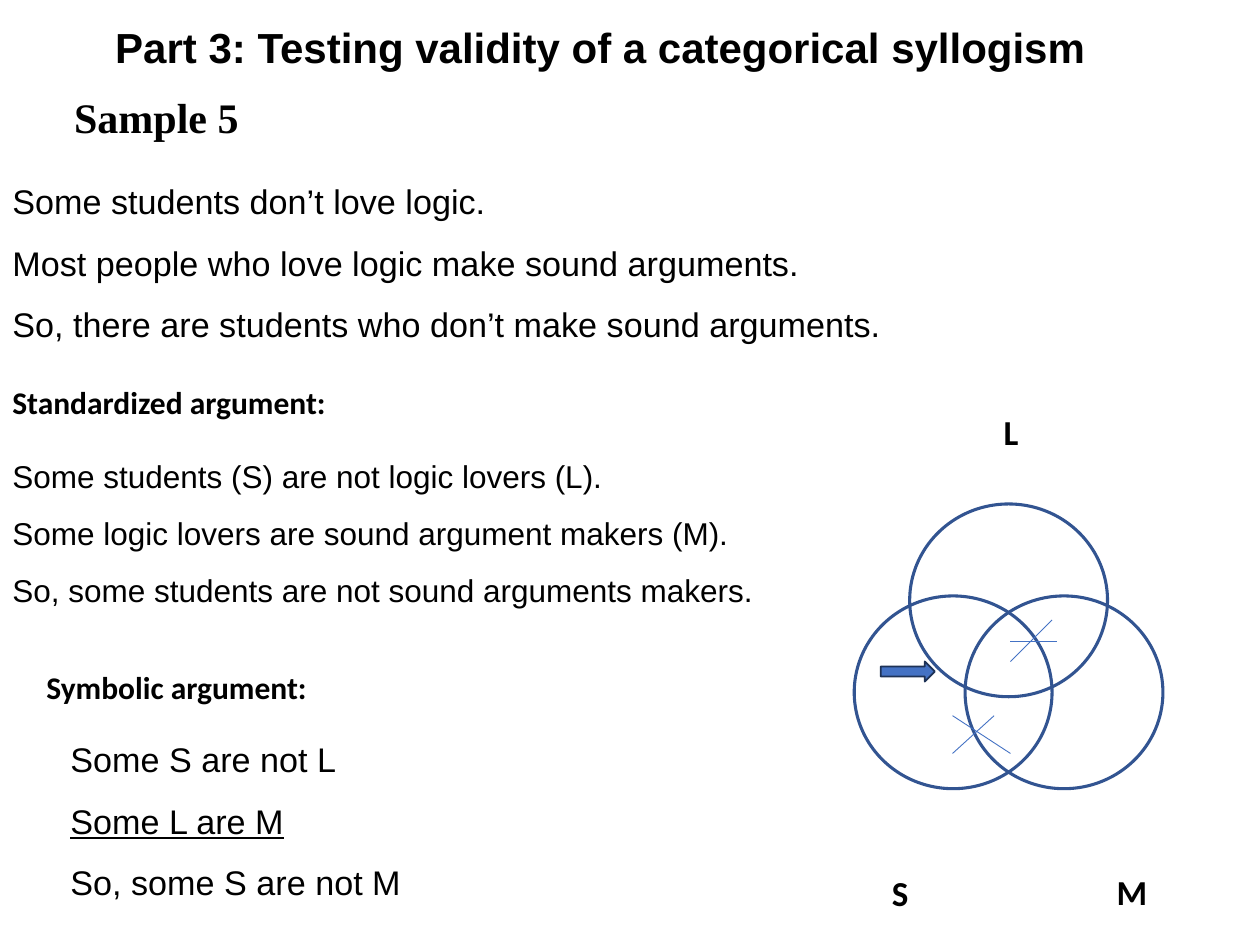
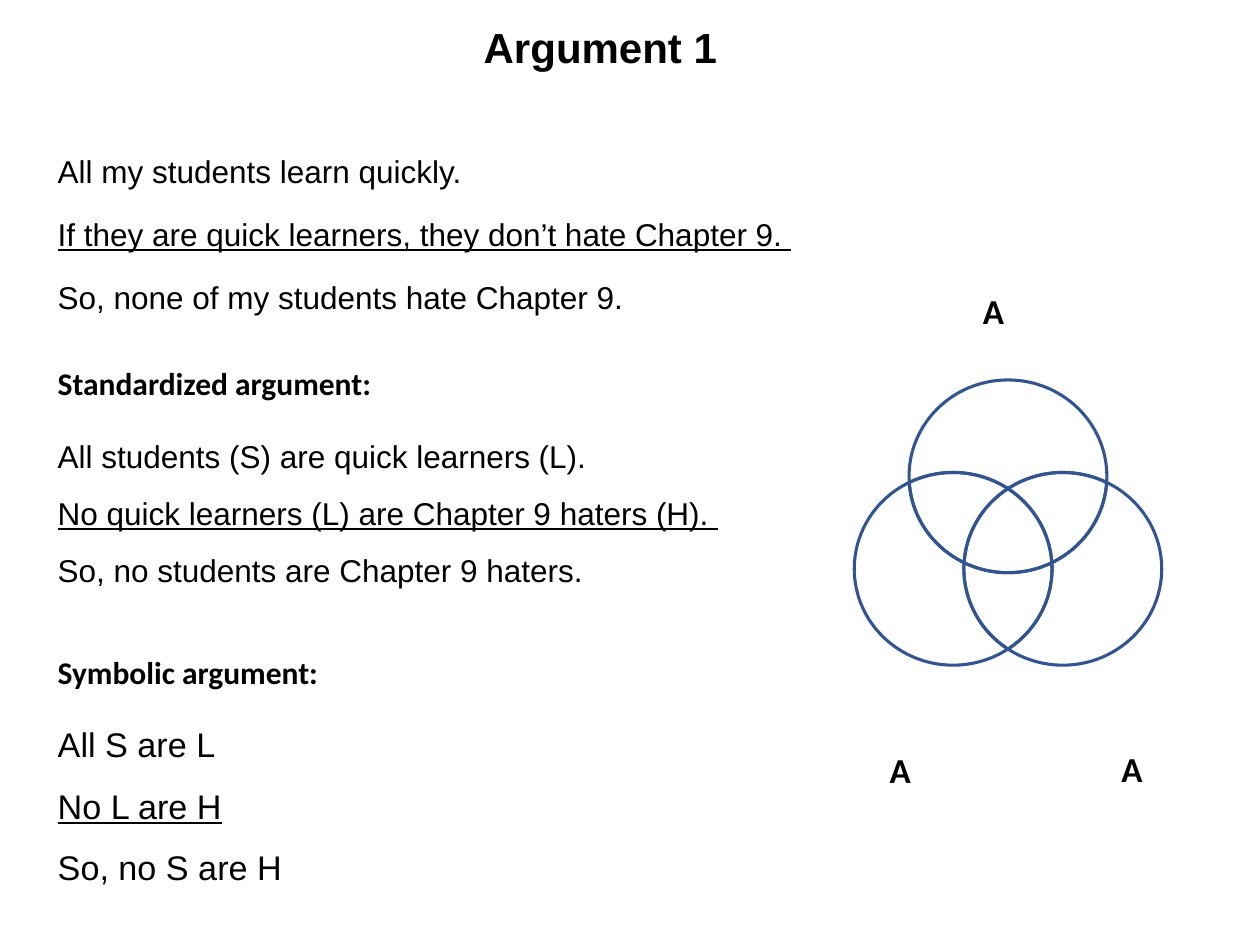
"""Builds two slides that test syllogisms with three-circle diagrams."""
from math import acos, cos, degrees, radians, sin, sqrt, tan

from lxml import etree
from pptx import Presentation
from pptx.dml.color import RGBColor
from pptx.enum.shapes import MSO_AUTO_SHAPE_TYPE, MSO_CONNECTOR_TYPE
from pptx.enum.text import MSO_AUTO_SIZE, PP_ALIGN
from pptx.oxml.ns import qn
from pptx.util import Inches, Pt

BLACK = RGBColor(0x00, 0x00, 0x00)
BLUE = RGBColor(0x44, 0x72, 0xC4)
NAVY = RGBColor(0x32, 0x54, 0x91)
DARK = RGBColor(0x1E, 0x32, 0x56)
OVAL = MSO_AUTO_SHAPE_TYPE.OVAL
ARROW = MSO_AUTO_SHAPE_TYPE.RIGHT_ARROW
LINE = MSO_CONNECTOR_TYPE.STRAIGHT
GROW = MSO_AUTO_SIZE.SHAPE_TO_FIT_TEXT
FIXED = MSO_AUTO_SIZE.NONE
LEFT, MID = PP_ALIGN.LEFT, PP_ALIGN.CENTER

STYLES = {
    "title": dict(name="Arial", size=24, bold=True, align=MID, gap=0.9, fit=FIXED),
    "sample": dict(name="Times New Roman", size=24, bold=True),
    "head": dict(name="Calibri", size=18, bold=True),
    "label": dict(name="Calibri", size=20, bold=True, align=MID),
    "large": dict(name="Arial", size=19.5, gap=1.5),
    "body": dict(name="Arial", size=18, gap=1.5),
    "loose": dict(name="Arial", size=18, gap=1.2, before=10, fit=FIXED),
}
TITLE = (0.05, 0.17, 9.43, 0.56)
HEAD = (3.14, 0.4)
LABEL = (0.73, 0.44)

SLIDES = [
    [
        ("large", (0, 1.22, 7.5, 1.52), [
            "Some students don’t love logic.",
            "Most people who love logic make sound arguments.",
            "So, there are students who don’t make sound arguments."]),
        ("large", (0.46, 5.65, 2.99, 1.52), [
            "Some S are not L", "_Some L are M", "So, some S are not M"]),
        ("body", (0, 3.43, 6.63, 1.41), [
            "Some students (S) are not logic lovers (L).",
            "Some logic lovers are sound argument makers (M).",
            "So, some students are not sound arguments makers."]),
        ("sample", (0.49, 0.68, 1.69, 0.5), ["Sample 5"]),
        ("title", TITLE, ["Part 3: Testing validity of a categorical syllogism"]),
        ("head", (0, 2.99, *HEAD), ["Standardized argument:"]),
        ("head", (0.27, 5.25, *HEAD), ["Symbolic argument:"]),
        ("label", (7.66, 3.21, *LABEL), ["L"]),
        ("label", (8.62, 6.86, *LABEL), ["M"]),
        ("label", (6.78, 6.87, *LABEL), ["S"]),
    ],
    [
        ("large", (0.36, 5.53, 2.99, 1.52), [
            "All S are L", "_No L are H", "So, no S are H"]),
        ("body", (0.36, 3.27, 6.63, 1.41), [
            "All students (S) are quick learners (L).",
            "_No quick learners (L) are Chapter 9 haters (H). ",
            "So, no students are Chapter 9 haters."]),
        ("title", TITLE, ["Argument 1"]),
        ("loose", (0.36, 1.1, 8.26, 1.37), [
            "All my students learn quickly.",
            "_If they are quick learners, they don’t hate Chapter 9. ",
            "So, none of my students hate Chapter 9."]),
        ("head", (0.36, 2.84, *HEAD), ["Standardized argument:"]),
        ("head", (0.36, 5.13, *HEAD), ["Symbolic argument:"]),
        ("label", (8.62, 5.88, *LABEL), ["A"]),
        ("label", (6.78, 5.89, *LABEL), ["A"]),
        ("label", (7.52, 2.25, *LABEL), ["A"]),
    ],
]


def paint(shape, line, width, fill=None):
    shape.shadow.inherit = False
    if fill is None:
        shape.fill.background()
    else:
        shape.fill.solid()
        shape.fill.fore_color.rgb = fill
    shape.line.color.rgb = line
    shape.line.width = Pt(width)


def arc(turn, start, end):
    """Give curve points, three per piece, on the circle centred at angle turn."""
    hub, start, end = radians(turn), turn + start, turn + end
    cuts = [q for q in range(-360, 721, 90) if min(start, end) < q < max(start, end)]
    stops = [start, *sorted(cuts, reverse=start > end), end]
    spots = []
    for a, b in zip(stops, stops[1:]):
        a, b = radians(a), radians(b)
        pull = 4 / 3 * tan((b - a) / 4)
        for t, k in [(a, pull), (b, -pull), (b, 0)]:
            x = MIDX + RX * (RING * cos(hub) + cos(t) - k * sin(t))
            y = MIDY + RY * (RING * sin(hub) + sin(t) + k * cos(t))
            spots.append((Inches(x), Inches(y)))
    return spots


deck = Presentation()
deck.slide_width, deck.slide_height = Inches(10), Inches(7.5)
pages = []

for boxes in SLIDES:
    page = deck.slides.add_slide(deck.slide_layouts[6])
    pages.append(page)
    for kind, place, lines in boxes:
        style = STYLES[kind]
        frame = page.shapes.add_textbox(*map(Inches, place)).text_frame
        frame.word_wrap = True
        frame.auto_size = style.get("fit", GROW)
        for i, text in enumerate(lines):
            para = frame.paragraphs[0] if i == 0 else frame.add_paragraph()
            para.alignment = style.get("align", LEFT)
            para.line_spacing = style.get("gap", 1.0)
            if i:
                para.space_before = Pt(style.get("before", 0))
            run = para.add_run()
            run.text = text.removeprefix("_")
            look = dict(name=style["name"], size=Pt(style["size"]),
                        bold=style.get("bold", False),
                        underline=text.startswith("_"))
            for key, value in look.items():
                setattr(run.font, key, value)
            run.font.color.rgb = BLACK

first, second = pages

for x, y in [(6.78, 4.73), (7.66, 4.73), (7.22, 4)]:
    ring = first.shapes.add_shape(OVAL, *map(Inches, (x, y, 1.57, 1.53)))
    paint(ring, NAVY, 1.75)

for ends in [(7.89, 5.68, 7.56, 5.98), (7.56, 5.68, 8.02, 5.98),
             (8.35, 4.92, 8.02, 5.25), (8.02, 5.09, 8.39, 5.09)]:
    mark = first.shapes.add_connector(LINE, *map(Inches, ends))
    mark.line.color.rgb = BLUE
    mark.line.width = Pt(0.5)
    etree.SubElement(mark._element.spPr, qn("a:effectLst"))

arrow = first.shapes.add_shape(ARROW, *map(Inches, (6.99, 5.25, 0.43, 0.16)))
paint(arrow, DARK, 1, BLUE)

MIDX, MIDY, RX, RY, RING = 8, 4.27, 0.785, 0.765, 0.64
LOW = 150 - degrees(acos(RING * sqrt(3) / 2))
IN = LOW + 60
OUT, HIGH = 360 - IN, 360 - LOW
TURNS = (-90, 30, 150)

pairs, singles, core = [], [], []
for turn in TURNS:
    after, prior = turn + 120, turn - 120
    pairs.append(arc(turn, LOW, IN) + arc(prior, OUT, IN) + arc(after, OUT, HIGH))
    singles.append(arc(turn, -LOW, LOW) + arc(after, HIGH, OUT) + arc(prior, IN, LOW))
    core += arc(turn, IN, OUT)

for part in [pairs[2], *pairs[:2], *singles, core]:
    pen = second.shapes.build_freeform(*part[-1])
    pen.add_line_segments(part, close=True)
    region = pen.convert_to_shape()
    paint(region, NAVY, 1.75)
    steps = list(region._element.iter(qn("a:lnTo")))
    for i in range(0, len(steps), 3):
        curve = etree.Element(qn("a:cubicBezTo"))
        steps[i].addprevious(curve)
        for step in steps[i:i + 3]:
            curve.append(step[0])
            step.getparent().remove(step)

deck.save("out.pptx")
